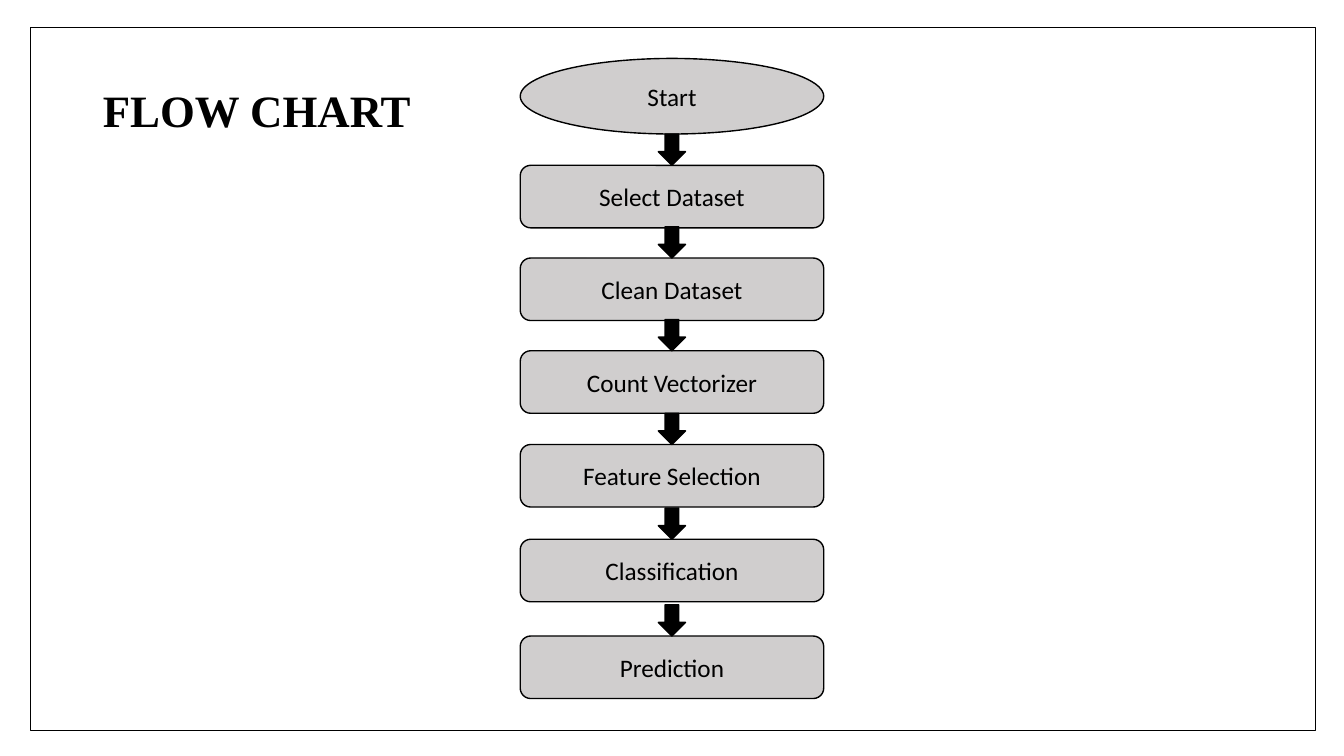
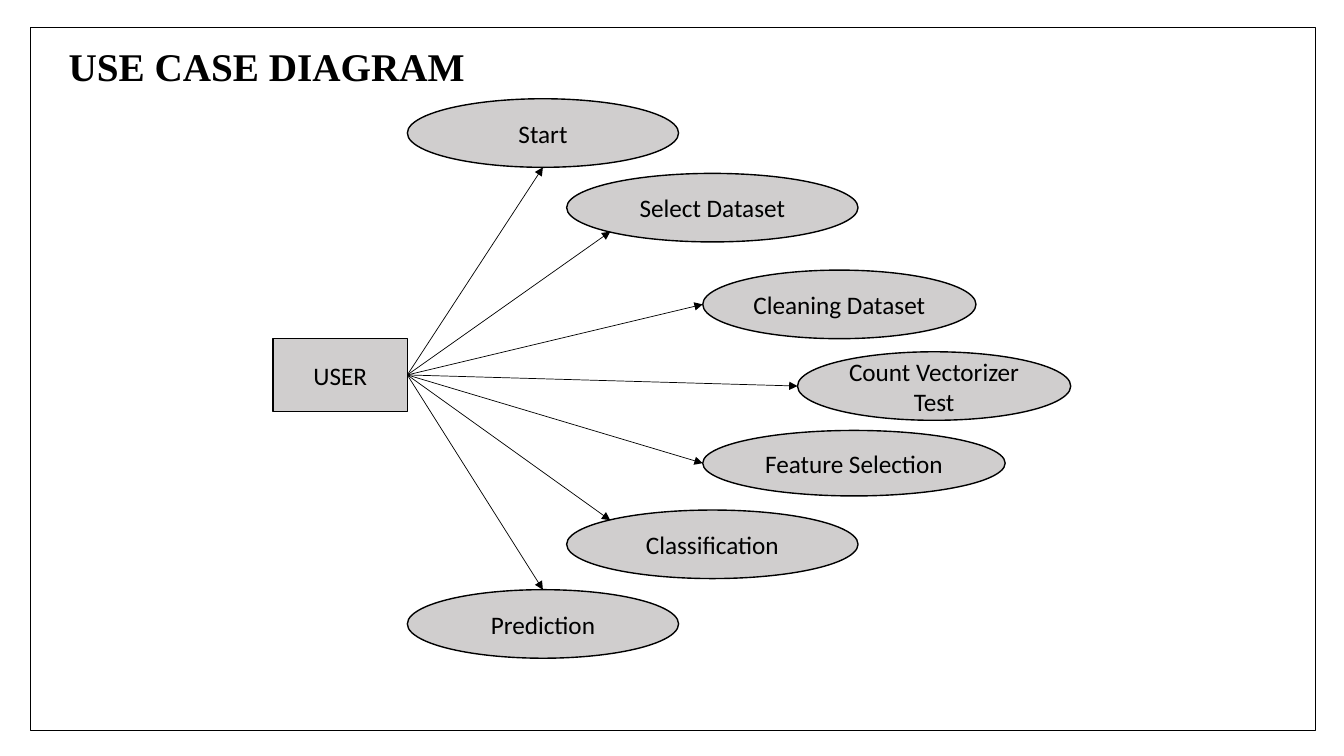
from lxml import etree
from pptx import Presentation
from pptx.dml.color import RGBColor
from pptx.enum.shapes import MSO_CONNECTOR, MSO_SHAPE
from pptx.enum.text import MSO_ANCHOR, MSO_AUTO_SIZE, PP_ALIGN
from pptx.oxml.ns import qn
from pptx.util import Inches, Pt

BLACK = RGBColor(0x00, 0x00, 0x00)
GREY = RGBColor(0xD0, 0xCE, 0xCE)
HEADING_FONT, LABEL_FONT = "Times New Roman", "Calibri"
RECTANGLE, ROUNDED = MSO_SHAPE.RECTANGLE, MSO_SHAPE.ROUNDED_RECTANGLE
ELLIPSE, DOWN_ARROW = MSO_SHAPE.OVAL, MSO_SHAPE.DOWN_ARROW
STRAIGHT = MSO_CONNECTOR.STRAIGHT
MIDDLE, TOP = MSO_ANCHOR.MIDDLE, MSO_ANCHOR.TOP
LEFT, CENTER = PP_ALIGN.LEFT, PP_ALIGN.CENTER
NO_AUTOFIT = MSO_AUTO_SIZE.NONE
TITLE_ONLY = 5


def write(frame, text, font=LABEL_FONT, size=18, bold=False,
          align=CENTER, anchor=MIDDLE, wrap=True, spacing=1.0):
    frame.word_wrap = wrap
    frame.auto_size = NO_AUTOFIT
    frame.vertical_anchor = anchor
    paragraph = frame.paragraphs[0]
    paragraph.alignment = align
    paragraph.line_spacing = spacing
    run = paragraph.add_run()
    run.text = text
    run.font.name, run.font.size, run.font.bold = font, Pt(size), bold
    run.font.color.rgb = BLACK


class Deck:
    """Holds the presentation, its style and the current slide."""

    def __init__(self):
        self.prs = Presentation()
        self.prs.slide_width, self.prs.slide_height = Inches(13.33), Inches(7.5)
        self.slide = None

    def new_slide(self, title, box, **text_format):
        self.slide = self.prs.slides.add_slide(self.prs.slide_layouts[TITLE_ONLY])
        heading = self.slide.shapes.title
        heading.left, heading.top, heading.width, heading.height = map(Inches, box)
        write(heading.text_frame, title, font=HEADING_FONT, bold=True,
              align=LEFT, **text_format)
        self.shape(RECTANGLE, 0.3, 0.27, 12.75, 6.98, fill=None)

    def shape(self, kind, left, top, width, height, text="", fill=GREY):
        item = self.slide.shapes.add_shape(
            kind, *map(Inches, (left, top, width, height)))
        item.shadow.inherit = False
        if fill is None:
            item.fill.background()
        else:
            item.fill.solid()
            item.fill.fore_color.rgb = fill
        item.line.color.rgb = BLACK
        item.line.width = Pt(1)
        if text:
            write(item.text_frame, text)

    def arrow(self, start, end):
        link = self.slide.shapes.add_connector(
            STRAIGHT, *map(Inches, (*start, *end)))
        link.line.color.rgb = BLACK
        link.line.width = Pt(0.5)
        etree.SubElement(link.line._get_or_add_ln(), qn("a:tailEnd"), type="triangle")
        etree.SubElement(link._element.spPr, qn("a:effectLst"))


deck = Deck()

# Flow chart: a column of steps, each with an arrow standing on its top edge
deck.new_slide("FLOW CHART", (0.92, 0.4, 11.5, 1.45), size=32, spacing=0.9)
STEP_LEFT, STEP_WIDTH, STEP_HEIGHT = 5.16, 3.01, 0.62
ARROW_WIDTH, ARROW_HEIGHT = 0.27, 0.31
arrow_left = STEP_LEFT + (STEP_WIDTH - ARROW_WIDTH) / 2
deck.shape(ELLIPSE, STEP_LEFT, 0.58, STEP_WIDTH, 0.75, "Start")
steps = [
    ("Select Dataset", 1.64),
    ("Clean Dataset", 2.56),
    ("Count Vectorizer", 3.48),
    ("Feature Selection", 4.41),
    ("Classification", 5.35),
    ("Prediction", 6.31),
]
for step, top in steps:
    deck.shape(ROUNDED, STEP_LEFT, top, STEP_WIDTH, STEP_HEIGHT, step)
    deck.shape(DOWN_ARROW, arrow_left, top - ARROW_HEIGHT,
               ARROW_WIDTH, ARROW_HEIGHT, fill=BLACK)

# Use case diagram: arrows fan out from the user to a point on each ellipse
deck.new_slide("USE CASE DIAGRAM", (0.58, 0.37, 4.27, 0.57),
               size=28, anchor=TOP, wrap=False)
deck.shape(RECTANGLE, 2.71, 3.36, 1.33, 0.72, "USER")
USER_EDGE = (4.04, 3.72)

# Arrow targets as fractions of an ellipse's width and height
ABOVE, UPPER_LEFT, SIDE, LOWER_LEFT, BELOW = (
    (0.5, 0), (0.15, 0.15), (0, 0.5), (0.15, 0.85), (0.5, 1))
use_cases = [
    ("Start", 4.04, 0.98, 2.69, 0.68, BELOW),
    ("Select Dataset", 5.62, 1.72, 2.89, 0.68, LOWER_LEFT),
    ("Cleaning Dataset", 6.97, 2.68, 2.71, 0.68, SIDE),
    ("Count Vectorizer Test", 7.91, 3.49, 2.71, 0.68, SIDE),
    ("Feature Selection", 6.97, 4.27, 3, 0.65, SIDE),
    ("Classification", 5.62, 5.06, 2.89, 0.68, UPPER_LEFT),
    ("Prediction", 4.04, 5.85, 2.69, 0.68, ABOVE),
]
for use_case, left, top, width, height, (across, down) in use_cases:
    deck.shape(ELLIPSE, left, top, width, height, use_case)
    deck.arrow(USER_EDGE, (left + across * width, top + down * height))

deck.prs.save("out.pptx")
